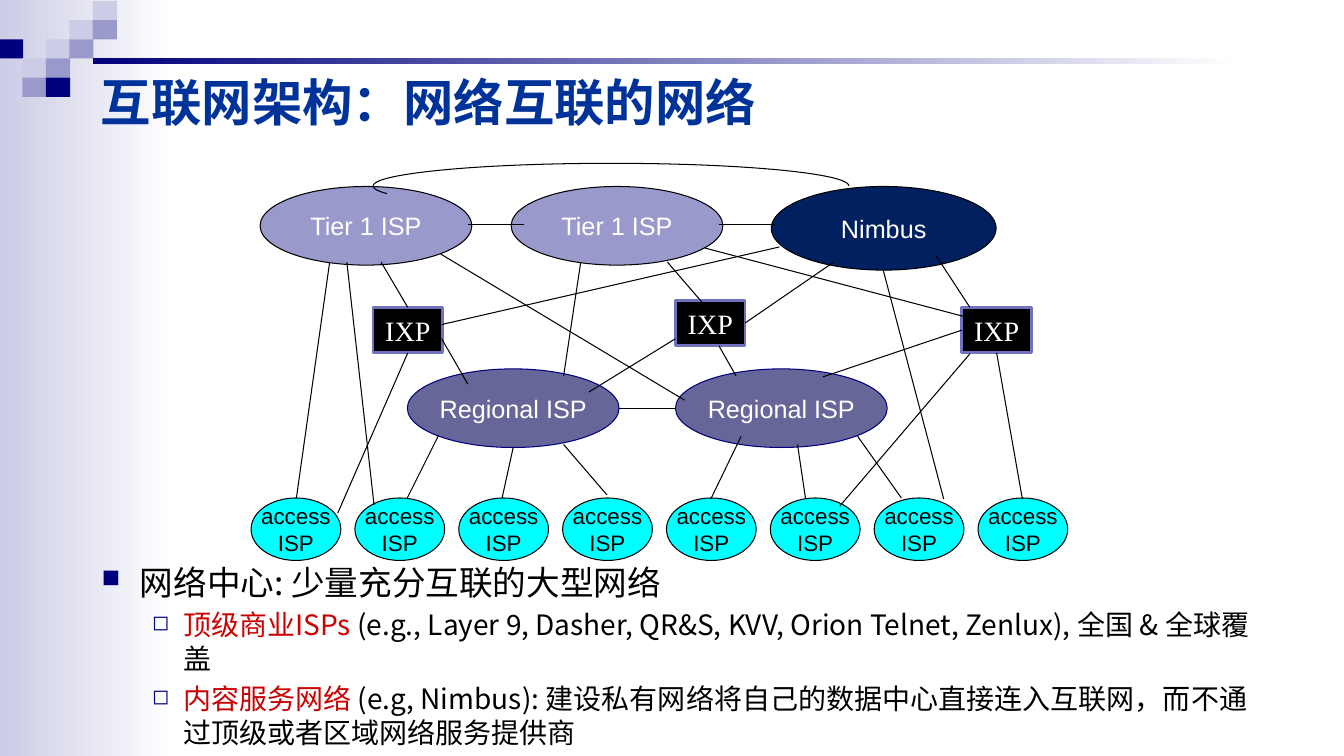
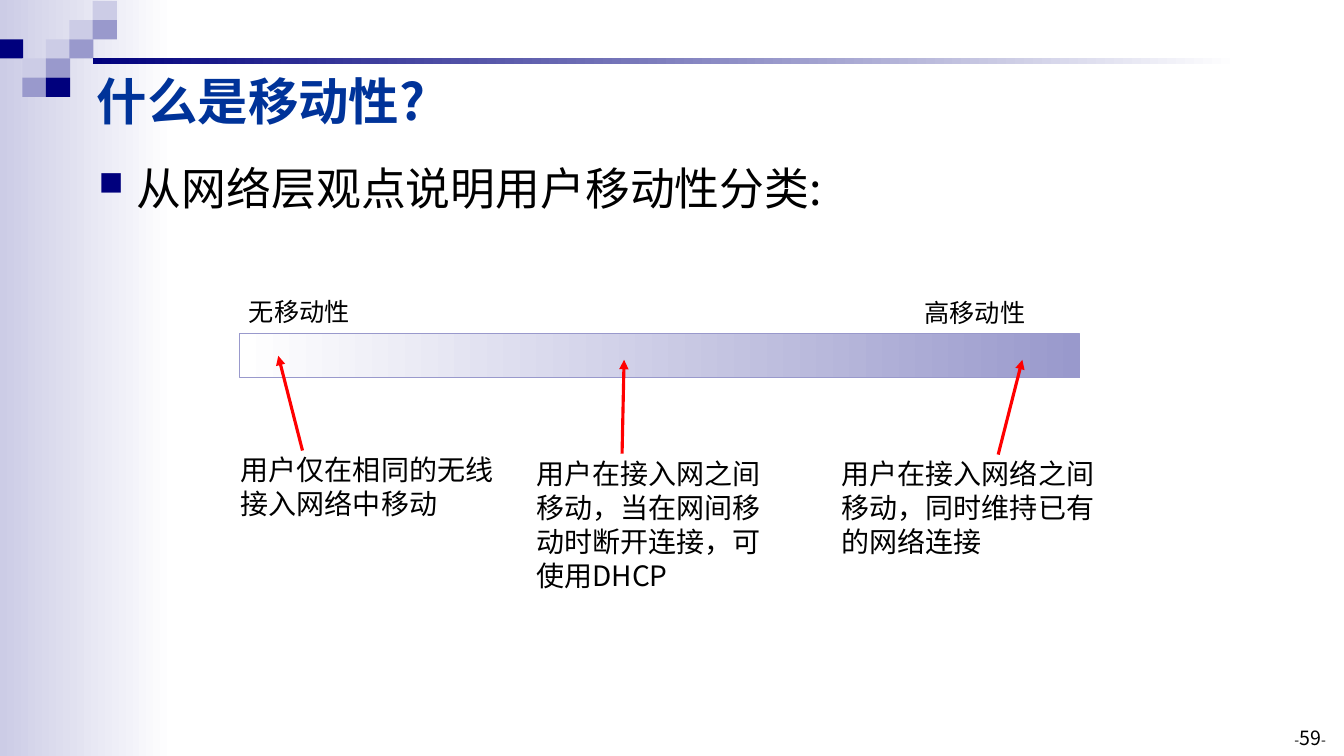
from lxml.etree import SubElement
from pptx import Presentation
from pptx.dml.color import RGBColor
from pptx.enum.shapes import MSO_CONNECTOR, MSO_SHAPE
from pptx.enum.text import MSO_ANCHOR, MSO_AUTO_SIZE, PP_ALIGN
from pptx.oxml.ns import qn
from pptx.util import Inches, Pt

COLORS = {
    "navy": "00007D", "mid": "9999CC", "pale": "CCCCE6", "white": "FFFFFF",
    "black": "000000", "title": "003399", "accent": "CC0000", "arrow": "FF0000",
    "cyan": "00FFFF", "slate": "666699", "content": "002060", "frame": "7171BD",
}
CJK = "Noto Sans CJK SC"
LINE_RATIO = 1.21

# Shared frame: one letter per mosaic tile
MOSAIC = ["....p", "...pm", "n.pm.", ".pm..", ".mn.."]
TILE_COLORS = {"p": "pale", "m": "mid", "n": "navy"}

# Slide 1: network diagram and text
NETWORK_TITLE = ("互联网架构：网络互联的网络", (0.9, 0.65, 8.85, 0.71))
NETWORK_TEXT = [
    (0, [("网络中心: 少量充分互联的大型网络", 24, "black")]),
    (1, [("顶级商业ISPs ", 20, "accent"),
         ("(e.g., Layer 9, Dasher, QR&S, KVV, Orion Telnet, Zenlux), 全国 & 全球覆盖",
          20, "black")]),
    (1, [("内容服务网络 ", 20, "accent"),
         ("(e.g, Nimbus): 建设私有网络将自己的数据中心直接连入互联网，"
          "而不通过顶级或者区域网络服务提供商", 20, "black")]),
]
NODE_STYLES = {
    "access": dict(shape=MSO_SHAPE.OVAL, size=(0.89, 0.62), fill="cyan", line="black",
                   width=0.75, text=["access", "ISP"], points=16, color="black", font="Arial"),
    "regional": dict(shape=MSO_SHAPE.OVAL, size=(2.1, 0.78), fill="slate", line="navy",
                     width=0.75, text=["Regional ISP"], points=18, color="white", font="Arial"),
    "tier": dict(shape=MSO_SHAPE.OVAL, size=(2.1, 0.78), fill="mid", line="black",
                 width=0.75, text=["Tier 1 ISP"], points=18, color="white", font="Arial"),
    "content": dict(shape=MSO_SHAPE.OVAL, size=(2.23, 0.83), fill="content", line="black",
                    width=0.75, text=["Nimbus"], points=18, color="white", font="Arial"),
    "exchange": dict(shape=MSO_SHAPE.RECTANGLE, size=(0.69, 0.45), fill="black", line="frame",
                     width=2, text=["IXP"], points=20, color="white", font="Times New Roman"),
}
NODES = {
    "access": [(2.49 + 1.03 * index, 4.94) for index in range(8)],
    "regional": [(4.04, 3.66), (6.7, 3.66)],
    "tier": [(2.58, 1.85), (5.07, 1.85)],
    "content": [(7.65, 1.85)],
    "exchange": [(3.7, 3.05), (6.7, 2.98), (9.54, 3.05)],
}
LINKS = [
    # First provider and its exchange
    (3.27, 2.6, 2.94, 4.94), (3.44, 2.6, 3.71, 5.01), (3.78, 2.6, 4.04, 3.05),
    (4.37, 2.52, 6.79, 3.97), (4.04, 3.51, 3.35, 5.09), (4.38, 3.36, 4.64, 3.81),
    # Second provider and its exchange
    (5.2, 2.23, 4.64, 2.23), (5.76, 2.6, 5.59, 3.73), (6.62, 2.6, 7.05, 3.1),
    (6.99, 2.46, 9.56, 3.14), (7.13, 3.43, 7.3, 3.73), (6.7, 3.36, 5.84, 3.89),
    # Content network and the last exchange
    (7.69, 2.23, 7.13, 2.23), (7.73, 2.45, 4.38, 3.22), (8.27, 2.6, 7.39, 3.21),
    (8.76, 2.68, 9.36, 4.95), (9.28, 2.53, 9.62, 3.05), (9.88, 3.51, 10.14, 4.95),
    (9.62, 3.51, 8.33, 5.02), (9.54, 3.28, 8.16, 3.74),
    # Regional networks
    (6.7, 4.05, 6.14, 4.05), (4.35, 4.32, 4.04, 4.94), (5.09, 4.44, 4.98, 4.94),
    (5.59, 4.41, 6.02, 4.91), (7.35, 4.33, 7.05, 4.95), (7.91, 4.41, 7.99, 4.95),
    (8.5, 4.32, 8.94, 4.94),
]

# Slide 2: mobility scale
MOBILITY_TITLE = ("什么是移动性?", (0.86, 0.61, 8.25, 0.78))
MOBILITY_TEXT = [(0, [("从网络层观点说明用户移动性分类:", 32, "black")])]
SCALE_NOTES = [  # lines, points, place, wrap
    (["无移动性"], 18, (2.37, 2.89, 1.2, 0.41), False),
    (["高移动性"], 18, (9.07, 2.9, 1.2, 0.41), False),
    (["用户仅在相同的无线", "接入网络中移动"], 20, (2.29, 4.44, 2.7, 0.8), False),
    (["用户在接入网之间移动，当在网间移动时断开连接，可使用DHCP"], 20,
     (5.22, 4.48, 2.66, 1.45), True),
    (["用户在接入网络之间移动，同时维持已有的网络连接"], 20,
     (8.25, 4.48, 2.94, 1.14), True),
]
SCALE_ARROWS = [(3, 4.47, 2.76, 3.53), (6.17, 4.5, 6.19, 3.57), (9.9, 4.51, 10.14, 3.57)]
PAGE_NUMBER = [("-", 10, "black"), ("59", 14, "black"), ("-", 10, "black")]

# Text formats
BODY_FRAME = dict(word_wrap=True, auto_size=MSO_AUTO_SIZE.NONE, vertical_anchor=MSO_ANCHOR.TOP)
MIDDLE_FRAME = {**BODY_FRAME, "vertical_anchor": MSO_ANCHOR.MIDDLE}
BOTTOM_FRAME = {**BODY_FRAME, "vertical_anchor": MSO_ANCHOR.BOTTOM}
LEFT = dict(alignment=PP_ALIGN.LEFT)
CENTER = dict(alignment=PP_ALIGN.CENTER)
RIGHT = dict(alignment=PP_ALIGN.RIGHT)
BULLETS = [dict(char="■", margin=0.38, indent=-0.38), dict(char="◻", margin=0.81, indent=-0.31)]


def rgb(name):
    return RGBColor.from_string(COLORS[name])


def apply(target, values):
    for name, value in values.items():
        setattr(target, name, value)


def inches(values):
    return [Inches(value) for value in values]


def write(shape, paragraphs, frame_format, para_format, font=CJK, bold=False):
    """Fill a shape with paragraphs, each a list of (text, points, color)."""
    frame = shape.text_frame
    apply(frame, frame_format)
    for index, spans in enumerate(paragraphs):
        para = frame.paragraphs[0] if index == 0 else frame.add_paragraph()
        apply(para, para_format)
        for text, points, color in spans:
            span = para.add_run()
            span.text = text
            apply(span.font, dict(size=Pt(points), name=font, bold=bold))
            span.font.color.rgb = rgb(color)
    for properties in shape.element.iter(qn("a:rPr")):
        SubElement(properties, qn("a:ea"), typeface=font)


def add_box(page, place, fill, line=None, width=0.75, shape=MSO_SHAPE.RECTANGLE):
    """Add a shape; a pair of fill colors makes a left-to-right gradient."""
    box = page.shapes.add_shape(shape, *inches(place))
    box.shadow.inherit = False
    if fill is None:
        box.fill.background()
    elif isinstance(fill, tuple):
        box.fill.gradient()
        box.fill.gradient_angle = 0
        for stop, color, position in zip(box.fill.gradient_stops, fill, (0, 1)):
            stop.color.rgb = rgb(color)
            stop.position = position
    else:
        box.fill.solid()
        box.fill.fore_color.rgb = rgb(fill)
    if line:
        box.line.color.rgb = rgb(line)
        box.line.width = Pt(width)
    else:
        box.line.fill.background()
    return box


def add_line(page, ends, color="black", width=0.75, arrow=False):
    line = page.shapes.add_connector(MSO_CONNECTOR.STRAIGHT, *inches(ends))
    line.line.color.rgb = rgb(color)
    line.line.width = Pt(width)
    if arrow:
        SubElement(line.element.spPr.find(qn("a:ln")), qn("a:tailEnd"), type="triangle")
    SubElement(line.element.spPr, qn("a:effectLst"))
    return line


def add_text(page, place, paragraphs, frame_format, para_format):
    box = page.shapes.add_textbox(*inches(place))
    write(box, paragraphs, frame_format, para_format)
    return box


def add_bullets(page, place, items):
    box = add_text(page, place, [spans for level, spans in items], BODY_FRAME, LEFT)
    for index, (para, (level, spans)) in enumerate(zip(box.text_frame.paragraphs, items)):
        bullet = BULLETS[level]
        apply(para, dict(level=level, line_spacing=Pt(spans[0][1] * LINE_RATIO),
                         space_before=Pt(4 if index else 0)))
        properties = next(box.element.iterfind(f".//{qn('a:p')}[{index + 1}]")).get_or_add_pPr()
        properties.set("marL", str(Inches(bullet["margin"])))
        properties.set("indent", str(Inches(bullet["indent"])))
        bullet_color = SubElement(properties, qn("a:buClr"))
        SubElement(bullet_color, qn("a:srgbClr"), val=COLORS["navy"])
        SubElement(properties, qn("a:buSzPct"), val="75000")
        SubElement(properties, qn("a:buChar"), char=bullet["char"])


def add_page(deck, title, place):
    """Add a slide with the shared side band, mosaic, rule and title style."""
    page = deck.slides.add_slide(deck.slide_layouts[5])
    add_box(page, (0, 0, 1.73, 7.5), ("pale", "white"))
    for row, tiles in enumerate(MOSAIC):
        for column, tile in enumerate(tiles):
            if tile in TILE_COLORS:
                place_of_tile = (-0.01 + 0.93 * column / 4, 0.01 + 0.19 * row, 0.24, 0.19)
                add_box(page, place_of_tile, TILE_COLORS[tile])
    add_box(page, (0.92, 0.58, 11.37, 0.06), ("navy", "white"))
    heading = page.shapes.title
    apply(heading, dict(zip(("left", "top", "width", "height"), inches(place))))
    write(heading, [[(title, 36, "title")]], MIDDLE_FRAME, LEFT, bold=True)
    # Bring the title in front of the band
    heading.element.getparent().append(heading.element)
    return page


def side_middles(box):
    """Middles of a rectangle's sides, in connection-site order."""
    center, middle = box.left + box.width / 2, box.top + box.height / 2
    return [(center, box.top), (box.left, middle),
            (center, box.top + box.height), (box.left + box.width, middle)]


def join(line, boxes):
    ends = [(line.begin_connect, line.begin_x, line.begin_y),
            (line.end_connect, line.end_x, line.end_y)]
    for connect, x, y in ends:
        for box in boxes:
            for site, (site_x, site_y) in enumerate(side_middles(box)):
                if max(abs(x - site_x), abs(y - site_y)) < Inches(0.02):
                    connect(box, site)


def build_network(deck):
    page = add_page(deck, *NETWORK_TITLE)
    add_bullets(page, (0.91, 5.52, 11.75, 1.67), NETWORK_TEXT)
    exchanges = []
    for kind, corners in NODES.items():
        style = NODE_STYLES[kind]
        for corner in corners:
            node = add_box(page, (*corner, *style["size"]), style["fill"], style["line"],
                           style["width"], style["shape"])
            lines = [[(text, style["points"], style["color"])] for text in style["text"]]
            frame_format = {**MIDDLE_FRAME, "word_wrap": kind == "exchange"}
            write(node, lines, frame_format, CENTER, style["font"])
            if kind == "exchange":
                exchanges.append(node)
    for ends in LINKS:
        join(add_line(page, ends), exchanges)
    arc = add_box(page, (3.7, 1.62, 4.72, 0.45), None, "black", shape=MSO_SHAPE.ARC)
    arc.adjustments[0], arc.adjustments[1] = 106.82, 0


def build_mobility(deck):
    page = add_page(deck, *MOBILITY_TITLE)
    add_bullets(page, (0.88, 1.54, 8.97, 0.63), MOBILITY_TEXT)
    add_box(page, (2.38, 3.31, 8.33, 0.44), ("white", "mid"), "mid")
    for lines, points, place, wrap in SCALE_NOTES:
        add_text(page, place, [[(text, points, "black")] for text in lines],
                 {**BODY_FRAME, "word_wrap": wrap},
                 {**LEFT, "line_spacing": Pt(points * LINE_RATIO)})
    for ends in SCALE_ARROWS:
        add_line(page, ends, "arrow", 2.25, arrow=True)
    add_text(page, (12.57, 6.98, 0.68, 0.5), [PAGE_NUMBER], BOTTOM_FRAME, RIGHT)


def main():
    deck = Presentation()
    deck.slide_width, deck.slide_height = inches((13.33, 7.5))
    build_network(deck)
    build_mobility(deck)
    deck.save("out.pptx")


if __name__ == "__main__":
    main()
